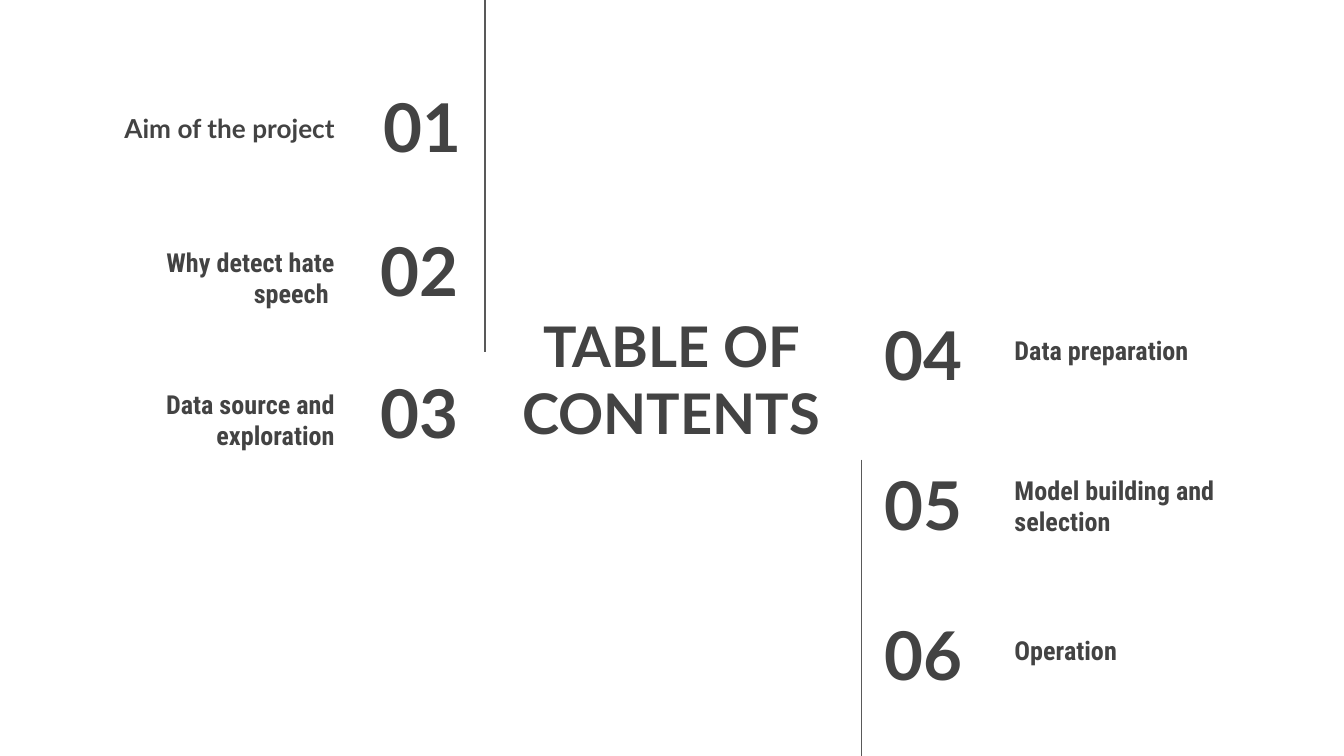
"""Build a table of contents slide with three entries on each side of the title."""
from lxml import etree
from pptx import Presentation, util as u
from pptx.dml.color import RGBColor
from pptx.enum import shapes, text
from pptx.oxml.ns import qn

INK = RGBColor(0x43, 0x43, 0x43)
RULE = RGBColor(0x59, 0x59, 0x59)
LATO, ROBOTO = "Lato", "Roboto Condensed"
LEFT, CENTER, RIGHT = text.PP_ALIGN.LEFT, text.PP_ALIGN.CENTER, text.PP_ALIGN.RIGHT
TOP, MIDDLE, BOTTOM = text.MSO_ANCHOR.TOP, text.MSO_ANCHOR.MIDDLE, text.MSO_ANCHOR.BOTTOM

WIDTH = 10
HEIGHT = WIDTH * 9 / 16
ROW_HEIGHT = 0.63
LABEL_WIDTH = 1.83
TITLE = "TABLE OF CONTENTS"
OPENING = ("01", (2.32, 0.62), "Aim of the project", (0.6, 0.54))
SIDES = [
    {
        "align": RIGHT, "number_left": 2.3, "number_width": 1.21, "label_left": 0.76,
        "entries": [
            ("02", 1.69, "Why detect hate speech ", 1.73),
            ("03", 2.75, "Data source and exploration", 2.79),
        ],
    },
    {
        "align": LEFT, "number_left": 6.48, "number_width": 1.17, "label_left": 7.45,
        "entries": [
            ("04", 2.32, "Data preparation", 2.39),
            ("05", 3.43, "Model building and selection", 3.43),
            ("06", 4.55, "Operation", 4.62),
        ],
    },
]
RULES = [(3.61, 0, 2.62), (6.41, 3.42, 5.64)]


def write(box, words, place, size, font, align, anchor):
    box.left, box.top, box.width, box.height = map(u.Inches, place)
    frame = box.text_frame
    frame.word_wrap = True
    frame.auto_size = text.MSO_AUTO_SIZE.NONE
    frame.vertical_anchor = anchor
    frame.margin_left = frame.margin_right = u.Inches(0.1)
    frame.margin_top = frame.margin_bottom = u.Inches(0.1)
    para = frame.paragraphs[0]
    para.alignment = align
    span = para.add_run()
    span.text = words
    span.font.name = font
    span.font.size = u.Pt(size)
    span.font.bold = True
    span.font.color.rgb = INK


def add_text(page, words, place, *style):
    write(page.shapes.add_textbox(0, 0, 0, 0), words, place, *style)


def add_opening(page):
    number, number_corner, label, label_corner = OPENING
    add_text(page, label, (*label_corner, 1.99, ROW_HEIGHT), 14, LATO, RIGHT, BOTTOM)
    add_text(page, number, (*number_corner, 1.21, ROW_HEIGHT), 36, LATO, RIGHT, MIDDLE)


def add_side(page, side):
    align = side["align"]
    for number, number_top, label, label_top in side["entries"]:
        number_place = (side["number_left"], number_top, side["number_width"], ROW_HEIGHT)
        label_place = (side["label_left"], label_top, LABEL_WIDTH, ROW_HEIGHT)
        add_text(page, number, number_place, 36, LATO, align, MIDDLE)
        add_text(page, label, label_place, 14, ROBOTO, align, TOP)


def add_rule(page, x, top, bottom):
    ends = map(u.Inches, (x, top, x, bottom))
    rule = page.shapes.add_connector(shapes.MSO_CONNECTOR.STRAIGHT, *ends)
    rule.line.color.rgb = RULE
    rule.line.width = u.Pt(0.75)
    etree.SubElement(rule._element.spPr, qn("a:effectLst"))


def main():
    deck = Presentation()
    deck.slide_width, deck.slide_height = u.Inches(WIDTH), u.Inches(HEIGHT)
    page = deck.slides.add_slide(deck.slide_layouts.get_by_name("Title Only"))
    write(page.shapes.title, TITLE, (3.7, 2.3, 2.59, 1.03), 30, LATO, CENTER, MIDDLE)
    add_opening(page)
    for side in SIDES:
        add_side(page, side)
    for rule in RULES:
        add_rule(page, *rule)
    deck.save("out.pptx")


if __name__ == "__main__":
    main()
